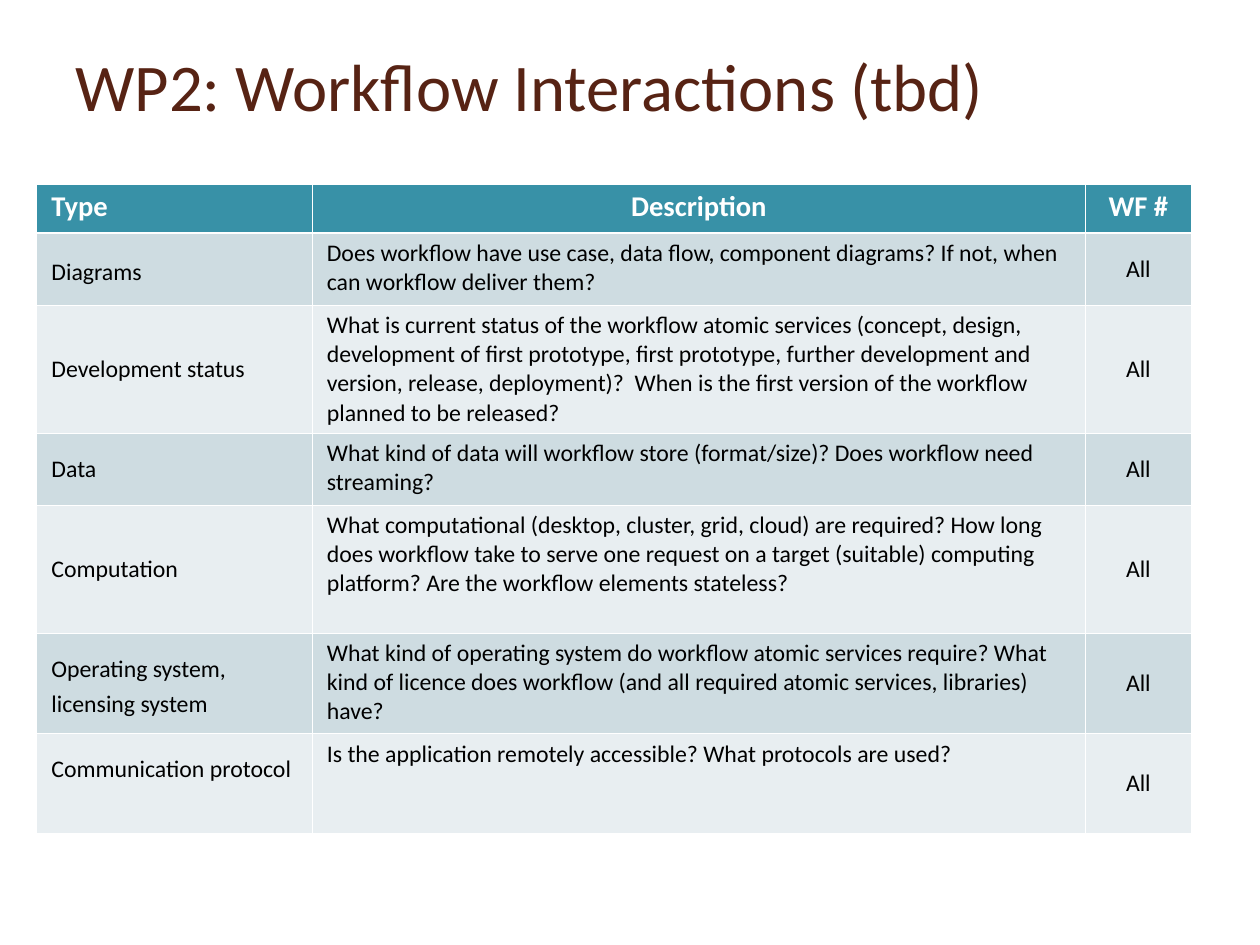
from lxml import etree
from pptx import Presentation
from pptx.dml.color import RGBColor
from pptx.enum.text import MSO_ANCHOR, PP_ALIGN
from pptx.oxml.ns import qn
from pptx.util import Cm, Inches, Pt

LEFT, CENTER = PP_ALIGN.LEFT, PP_ALIGN.CENTER
TOP, MIDDLE = MSO_ANCHOR.TOP, MSO_ANCHOR.MIDDLE
WHITE, BLACK, BROWN, TEAL = "FFFFFF", "000000", "572314", "3891A7"
BANDS = ["E8EEF1", "CEDCE1"]
COLS = [2.41, 6.77, 0.92]
HEIGHTS = [0.43, 0.63, 1.12, 0.63, 1.12, 0.88, 0.87]
ALIGNS = [LEFT, CENTER, CENTER], [LEFT, LEFT, CENTER]
ANCHORS = [TOP, TOP, TOP], [MIDDLE, TOP, MIDDLE]
LOOSE = ["Diagrams", "Operating system, licensing system"]
ROWS = [
    ("Type", "Description", "WF #"),
    ("Diagrams",
     "Does workflow have use case, data flow, component diagrams? If not, "
     "when can workflow deliver them?", "All"),
    ("Development status",
     "What is current status of the workflow atomic services (concept, design, "
     "development of first prototype, first prototype, further development and "
     "version, release, deployment)?  When is the first version of the workflow "
     "planned to be released?", "All"),
    ("Data",
     "What kind of data will workflow store (format/size)? Does workflow need "
     "streaming?", "All"),
    ("Computation",
     "What computational (desktop, cluster, grid, cloud) are required? How long "
     "does workflow take to serve one request on a target (suitable) computing "
     "platform? Are the workflow elements stateless?", "All"),
    ("Operating system, licensing system",
     "What kind of operating system do workflow atomic services require? What "
     "kind of licence does workflow (and all required atomic services, libraries) "
     "have?", "All"),
    ("Communication protocol",
     "Is the application remotely accessible? What protocols are used?", "All"),
]


def rgb(color):
    return RGBColor.from_string(color)


def write(tf, text, size=15, color=BLACK, bold=False, align=LEFT, spacing=1.0):
    tf.word_wrap = True
    p = tf.paragraphs[0]
    p.alignment, p.line_spacing = align, spacing
    r = p.add_run()
    r.text = text
    r.font.name, r.font.size, r.font.bold = "Calibri", Pt(size), bold
    r.font.color.rgb = rgb(color)


prs = Presentation()
prs.slide_width, prs.slide_height = Cm(28), Cm(21)
s = prs.slides.add_slide(prs.slide_layouts[5])

title = s.shapes.title
title.left, title.top = Inches(0.55), Inches(0.05)
title.width, title.height = Inches(9.13), Inches(1.38)
tf = title.text_frame
tf.vertical_anchor = MIDDLE
tf.margin_left = tf.margin_right = Inches(0.11)
tf.margin_top = tf.margin_bottom = Inches(0.06)
write(tf, "WP2: Workflow Interactions (tbd)", size=42, color=BROWN)

table = s.shapes.add_table(len(ROWS), len(COLS), Inches(0.32), Inches(1.61),
                           Inches(sum(COLS)), Inches(sum(HEIGHTS))).table
for column, width in zip(table.columns, COLS):
    column.width = Inches(width)

for i, (row, height) in enumerate(zip(ROWS, HEIGHTS)):
    table.rows[i].height = Inches(height)
    header = i == 0
    body = int(not header)
    for j, text in enumerate(row):
        cell = table.cell(i, j)
        cell.margin_left = cell.margin_right = Inches(0.13)
        cell.margin_top = cell.margin_bottom = Inches(0.05)
        cell.vertical_anchor = ANCHORS[body][j]
        write(cell.text_frame, text, size=18 if header else 15,
              color=WHITE if header else BLACK, bold=header,
              align=ALIGNS[body][j], spacing=1.2 if text in LOOSE else 1.0)
        thick = {"lnB": header, "lnT": i == 1}
        for side in ("lnL", "lnR", "lnT", "lnB"):
            weight = Pt(1.47 if thick.get(side) else 0.45)
            ln = etree.SubElement(cell._tc.get_or_add_tcPr(), qn("a:" + side), w=str(weight))
            fill = etree.SubElement(ln, qn("a:solidFill"))
            etree.SubElement(fill, qn("a:srgbClr"), val=WHITE)
        cell.fill.solid()
        cell.fill.fore_color.rgb = rgb(TEAL if header else BANDS[i % 2])

table.cell(len(ROWS) - 1, 0).margin_bottom = Inches(0.3)

prs.save("out.pptx")
